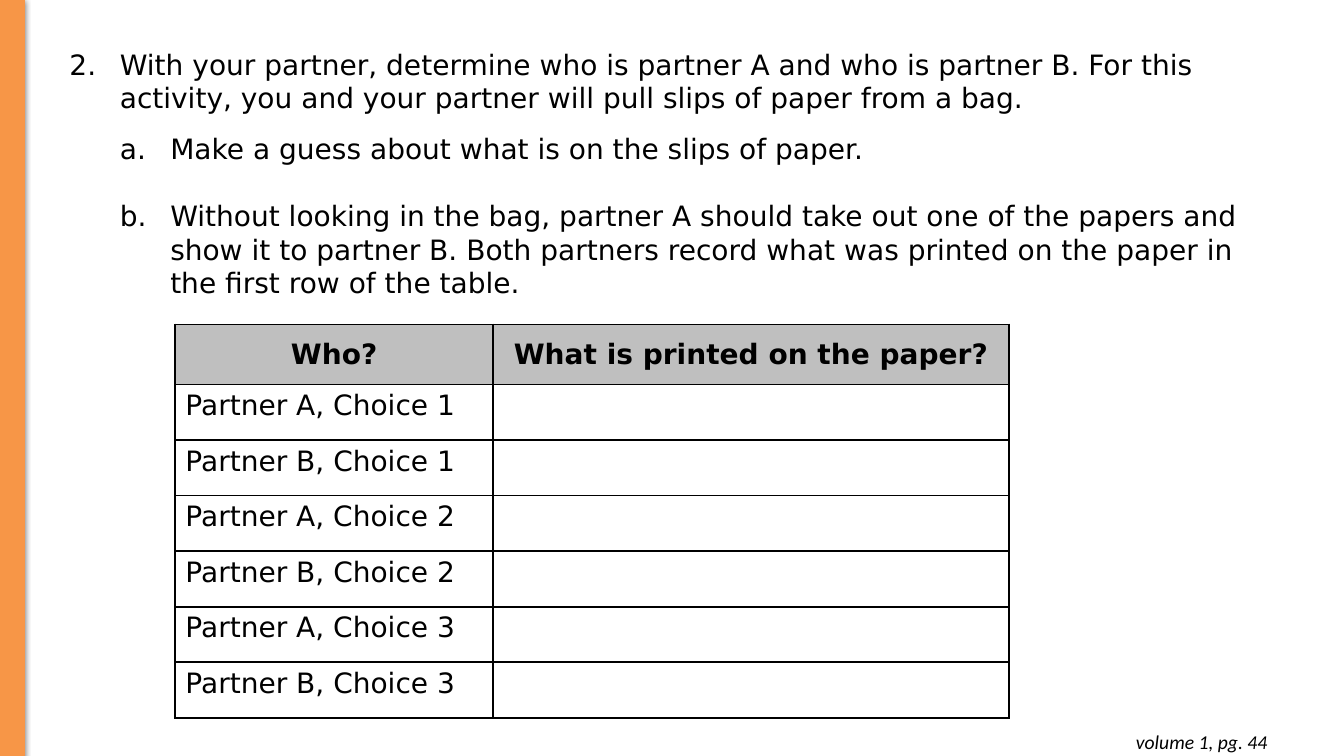
from dataclasses import dataclass

from lxml import etree
from pptx import Presentation
from pptx.dml.color import RGBColor
from pptx.enum.shapes import MSO_SHAPE
from pptx.enum.text import MSO_ANCHOR, PP_ALIGN
from pptx.oxml.ns import qn
from pptx.util import Emu, Inches, Pt

RECTANGLE = MSO_SHAPE.RECTANGLE
MIDDLE, TOP = MSO_ANCHOR.MIDDLE, MSO_ANCHOR.TOP
LEFT, CENTER, RIGHT = PP_ALIGN.LEFT, PP_ALIGN.CENTER, PP_ALIGN.RIGHT

BLACK = RGBColor(0x00, 0x00, 0x00)
ORANGE = RGBColor(0xF7, 0x96, 0x47)
HEADER_GRAY = RGBColor(0xBF, 0xBF, 0xBF)
BODY_FONT, FOOTER_FONT = "DejaVu Sans", "Calibri"
INDENT = Inches(0.5)

SLIDE_WIDTH, SLIDE_HEIGHT = Inches(13.33), Inches(7.5)


@dataclass(frozen=True)
class Area:
    """Position and size in percent of the slide."""
    left: float
    top: float
    width: float
    height: float

    def place(self) -> tuple[Emu, Emu, Emu, Emu]:
        return across(self.left), down(self.top), across(self.width), down(self.height)


@dataclass(frozen=True)
class Step:
    text: str
    level: int
    numbering: str
    start: int = 1
    space_before: float = 0


STEPS = [
    Step("With your partner, determine who is partner A and who is partner B. "
         "For this activity, you and your partner will pull slips of paper from a bag.",
         0, "arabicPeriod", start=2),
    Step("Make a guess about what is on the slips of paper.",
         1, "alphaLcPeriod", space_before=12),
    Step("Without looking in the bag, partner A should take out one of the papers and "
         "show it to partner B. Both partners record what was printed on the paper in "
         "the first row of the table.",
         1, "alphaLcPeriod", space_before=24),
]
HEADINGS = ["Who?", "What is printed on the paper?"]
TURNS = [f"Partner {partner}, Choice {choice}" for choice in (1, 2, 3) for partner in "AB"]

STEPS_AREA = Area(4.43, 5.6, 88.6, 35.07)
STRIPE_AREA = Area(0, -0.13, 1.8, 100.13)
FOOTER_AREA = Area(73.44, 95.2, 21.61, 5.87)
COLUMN_SHARES = [23.63, 38.41]
ROW_SHARES = [7.93] + [7.35] * len(TURNS)
TABLE_AREA = Area(13.05, 42.93, sum(COLUMN_SHARES), sum(ROW_SHARES))


def across(percent: float) -> Emu:
    return Emu(round(SLIDE_WIDTH * percent / 100))


def down(percent: float) -> Emu:
    return Emu(round(SLIDE_HEIGHT * percent / 100))


def write(paragraph, text: str, *, size: float = 20, font: str = BODY_FONT,
          bold: bool = False, italic: bool = False, align=LEFT) -> None:
    run = paragraph.add_run()
    run.text = text
    run.font.size, run.font.name = Pt(size), font
    run.font.bold, run.font.italic = bold, italic
    run.font.color.rgb = BLACK
    paragraph.alignment = align


def number(paragraph, step: Step) -> None:
    paragraph.level = step.level
    paragraph.space_before = Pt(step.space_before)
    properties = paragraph._p.get_or_add_pPr()
    properties.set("marL", str(INDENT * (step.level + 1)))
    properties.set("indent", str(-INDENT))
    bullet = etree.SubElement(properties, qn("a:buAutoNum"), type=step.numbering)
    if step.start > 1:
        bullet.set("startAt", str(step.start))


def add_steps(slide) -> None:
    frame = slide.shapes.add_textbox(*STEPS_AREA.place()).text_frame
    frame.word_wrap = True
    for index, step in enumerate(STEPS):
        paragraph = frame.add_paragraph() if index else frame.paragraphs[0]
        number(paragraph, step)
        write(paragraph, step.text)


def add_stripe(slide) -> None:
    stripe = slide.shapes.add_shape(RECTANGLE, *STRIPE_AREA.place())
    stripe.fill.solid()
    stripe.fill.fore_color.rgb = ORANGE
    stripe.line.color.rgb = ORANGE
    stripe.line.width = Pt(0.75)
    # Soft shadow straight below
    stripe.shadow.inherit = False
    effects = stripe._element.spPr.find(qn("a:effectLst"))
    shadow = etree.SubElement(effects, qn("a:outerShdw"), blurRad=str(Pt(4.5)),
                              dist=str(Pt(1.5)), dir=str(90 * 60000), rotWithShape="0")
    color = etree.SubElement(shadow, qn("a:srgbClr"), val=str(BLACK))
    etree.SubElement(color, qn("a:alpha"), val="50000")


def outline(cell) -> None:
    properties = cell._tc.get_or_add_tcPr()
    for side in ("lnL", "lnR", "lnT", "lnB"):
        border = etree.SubElement(properties, qn(f"a:{side}"), w=str(Pt(1.5)))
        fill = etree.SubElement(border, qn("a:solidFill"))
        etree.SubElement(fill, qn("a:srgbClr"), val=str(BLACK))


def add_record_table(slide) -> None:
    rows = [HEADINGS] + [[turn, ""] for turn in TURNS]
    table = slide.shapes.add_table(len(rows), len(HEADINGS), *TABLE_AREA.place()).table
    for column, share in zip(table.columns, COLUMN_SHARES):
        column.width = across(share)
    for row, share in zip(table.rows, ROW_SHARES):
        row.height = down(share)
    for row_index, texts in enumerate(rows):
        is_header = row_index == 0
        for column_index, text in enumerate(texts):
            cell = table.cell(row_index, column_index)
            outline(cell)
            cell.vertical_anchor = MIDDLE if is_header else TOP
            if is_header:
                cell.fill.solid()
                cell.fill.fore_color.rgb = HEADER_GRAY
            else:
                cell.fill.background()
            if text:
                write(cell.text_frame.paragraphs[0], text, bold=is_header,
                      align=CENTER if is_header else LEFT)


def add_footer(slide) -> None:
    frame = slide.shapes.add_textbox(*FOOTER_AREA.place()).text_frame
    frame.word_wrap = True
    frame.margin_top = frame.margin_bottom = Inches(0.1)
    write(frame.paragraphs[0], "volume 1, pg. 44", size=14, font=FOOTER_FONT,
          italic=True, align=RIGHT)


def main() -> None:
    presentation = Presentation()
    presentation.slide_width, presentation.slide_height = SLIDE_WIDTH, SLIDE_HEIGHT
    slide = presentation.slides.add_slide(presentation.slide_layouts[6])
    add_steps(slide)
    add_stripe(slide)
    add_record_table(slide)
    add_footer(slide)
    presentation.save("out.pptx")


if __name__ == "__main__":
    main()
